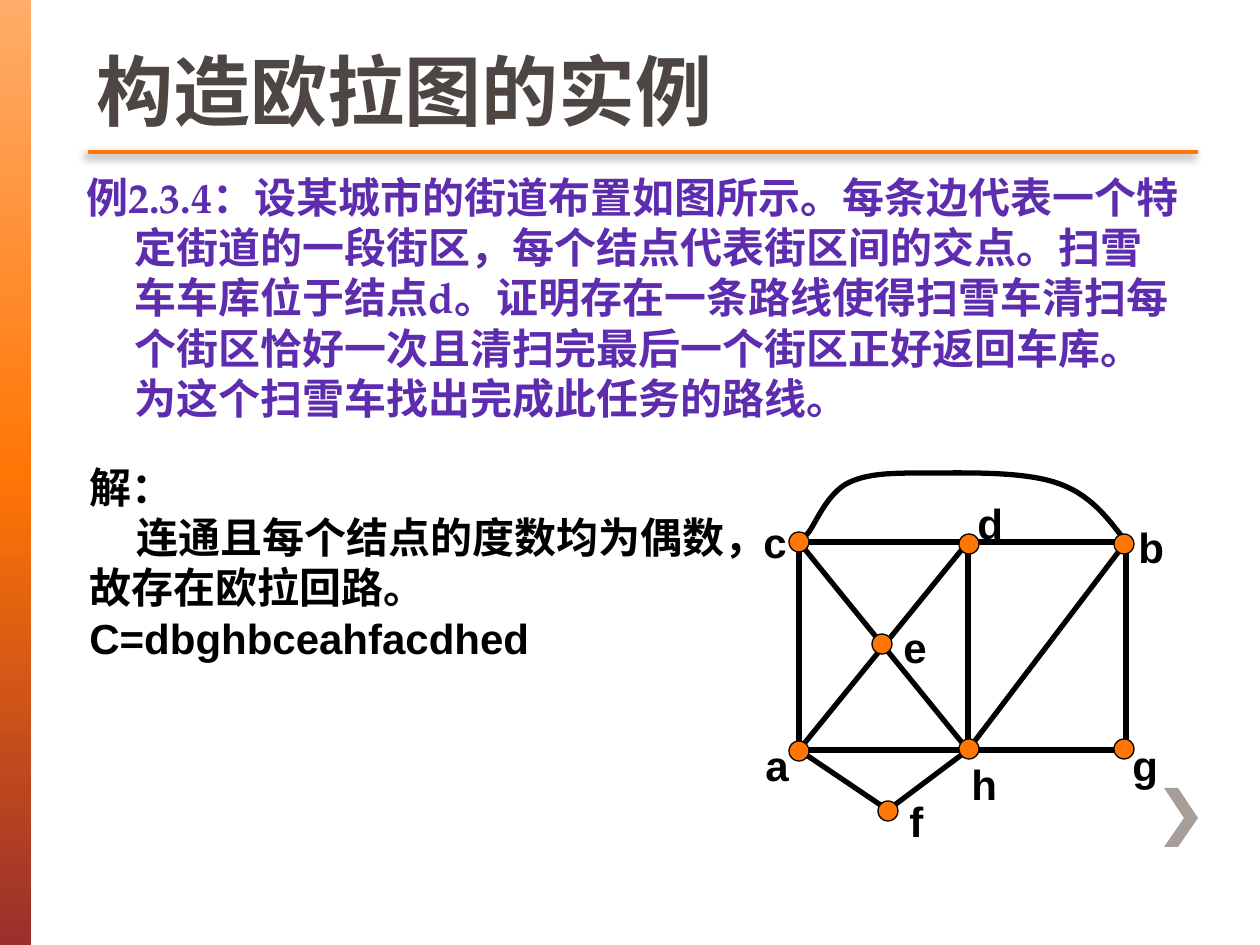
"""Build the slide on constructing an Euler graph from a street map."""
from copy import deepcopy

from lxml import etree
from pptx import Presentation
from pptx.dml.color import RGBColor
from pptx.enum.shapes import MSO_CONNECTOR, MSO_SHAPE
from pptx.enum.text import MSO_ANCHOR, PP_ALIGN
from pptx.oxml.ns import qn
from pptx.util import Pt

RECT, OVAL, STRAIGHT = MSO_SHAPE.RECTANGLE, MSO_SHAPE.OVAL, MSO_CONNECTOR.STRAIGHT
TOP, BOTTOM, LEFT = MSO_ANCHOR.TOP, MSO_ANCHOR.BOTTOM, PP_ALIGN.LEFT
SCALE = 914400 / 126

BLACK, ORANGE, PURPLE, GREY, TAUPE = "000000", "FF7605", "5E2CAE", "4D4643", "A79D99"
BAND_STOPS = [(0, "FFAD69"), (0.5, ORANGE), (1, "9A2F2C")]

TITLE = "构造欧拉图的实例"
PROBLEM = (
    "例2.3.4：设某城市的街道布置如图所示。每条边代表一个特定街道的一段街区，"
    "每个结点代表街区间的交点。扫雪车车库位于结点d。证明存在一条路线使得扫雪车"
    "清扫每个街区恰好一次且清扫完最后一个街区正好返回车库。"
    "为这个扫雪车找出完成此任务的路线。"
)
SOLUTION = [
    ("解：", 0),
    ("连通且每个结点的度数均为偶数，故存在欧拉回路。", 47),
    ("C=dbghbceahfacdhed", 0),
]

NODES = {
    "c": ((799, 542), (751, 510)),
    "a": ((799, 751), (753, 733)),
    "b": ((1124, 544), (1126, 515)),
    "e": ((882, 644), (891, 615)),
    "d": ((969, 544), (965, 491)),
    "g": ((1124, 749), (1120, 733)),
    "h": ((969, 749), (959, 752)),
    "f": ((888, 811), (897, 789)),
}
NODE_SIZE, LABEL_SIZE = 20, (49, 63)
BLOCK = (799, 542, 327, 208)
CORNERS = {"c": (799, 542), "d": (968, 542), "b": (1126, 542),
           "a": (799, 750), "h": (968, 750), "f": (888, 810)}
STREETS = ["dh", "bh", "da", "ch", "af", "hf"]
BYPASS = [
    (799, 542), (799, 542), (800, 542), (809, 532),
    (816, 522), (828, 493), (848, 483),
    (868, 473), (893, 473), (927, 473),
    (963, 473), (1023, 471), (1057, 483),
    (1090, 494), (1108, 518), (1126, 542),
]
CHEVRON = [(1178, 788), (1164, 788), (1184, 818), (1164, 847), (1178, 847), (1198, 818)]


def px(value):
    return round(value * SCALE)


def color(value):
    return RGBColor.from_string(value)


def paint(shape, fill=None, line=None, width=3):
    shape.shadow.inherit = False
    if fill:
        shape.fill.solid()
        shape.fill.fore_color.rgb = color(fill)
    else:
        shape.fill.background()
    if line:
        shape.line.color.rgb = color(line)
        shape.line.width = Pt(width)
    else:
        shape.line.fill.background()


def add_shape(kind, box, **look):
    shape = slide.shapes.add_shape(kind, *map(px, box))
    paint(shape, **look)
    return shape


def add_line(start, end, line, width):
    connector = slide.shapes.add_connector(STRAIGHT, *map(px, start + end))
    connector.line.color.rgb = color(line)
    connector.line.width = Pt(width)
    return etree.SubElement(connector._element.spPr, qn("a:effectLst"))


def add_outline(points, close, **look):
    builder = slide.shapes.build_freeform(*points[0], scale=SCALE)
    builder.add_line_segments(points[1:], close=close)
    shape = builder.convert_to_shape()
    paint(shape, **look)
    return shape


def add_text(box, paragraphs, size=24, font="Arial", ink=BLACK, anchor=TOP, **spacing):
    frame = slide.shapes.add_textbox(*map(px, box)).text_frame
    frame.word_wrap = True
    frame.vertical_anchor = anchor
    for number, (text, indent) in enumerate(paragraphs):
        paragraph = frame.add_paragraph() if number else frame.paragraphs[0]
        paragraph.alignment = LEFT
        for name, value in spacing.items():
            setattr(paragraph, name, value)
        properties = paragraph._p.get_or_add_pPr()
        properties.set("marL", str(px(max(0, -indent))))
        properties.set("indent", str(px(indent)))
        run = paragraph.add_run()
        run.text = text
        for name, value in {"size": Pt(size), "name": font, "bold": True}.items():
            setattr(run.font, name, value)
        run.font.color.rgb = color(ink)


prs = Presentation()
prs.slide_width, prs.slide_height = px(1260), px(945)
slide = prs.slides.add_slide(prs.slide_layouts[6])

band = add_shape(RECT, (0, 0, 31, 945))
band.fill.gradient()
band.fill.gradient_angle = 270
stop_list = band._element.spPr.find(".//" + qn("a:gsLst"))
stop_list.append(deepcopy(stop_list[-1]))
for stop, (position, tint) in zip(band.fill.gradient_stops, BAND_STOPS):
    stop.position = position
    stop.color.rgb = color(tint)

add_outline(CHEVRON, True, fill=TAUPE)

title_rule_effects = add_line((88, 152), (1198, 152), ORANGE, 2.5)
shadow = etree.SubElement(
    title_rule_effects, qn("a:outerShdw"), blurRad=str(Pt(5)), dist=str(Pt(3)),
    dir=str(135 * 60000), algn="tl", rotWithShape="0")
shadow_color = etree.SubElement(shadow, qn("a:srgbClr"), val=BLACK)
etree.SubElement(shadow_color, qn("a:alpha"), val="45000")

add_text((74, 165, 1121, 668), [(PROBLEM, -48)], font="TeX Gyre Pagella", ink=PURPLE,
         space_before=Pt(4.8))

add_shape(RECT, BLOCK, line=BLACK)
for start, end in STREETS:
    add_line(CORNERS[start], CORNERS[end], BLACK, 3)

bypass = add_outline(BYPASS, False, line=BLACK)
segments = bypass._element.findall(".//" + qn("a:lnTo"))
for first in range(0, len(segments), 3):
    curve = etree.Element(qn("a:cubicBezTo"))
    segments[first].addprevious(curve)
    for segment in segments[first:first + 3]:
        curve.append(segment[0])
        segment.getparent().remove(segment)

for (x, y), _ in NODES.values():
    add_shape(OVAL, (x - NODE_SIZE / 2, y - NODE_SIZE / 2, NODE_SIZE, NODE_SIZE),
              fill=ORANGE, line=BLACK, width=0.75)
for letter, (_, corner) in NODES.items():
    add_text(corner + LABEL_SIZE, [(letter, 0)])

add_text((77, 455, 726, 267), SOLUTION)
add_text((84, 0, 1110, 142), [(TITLE, 0)], size=44, ink=GREY, anchor=BOTTOM)

prs.save("out.pptx")
